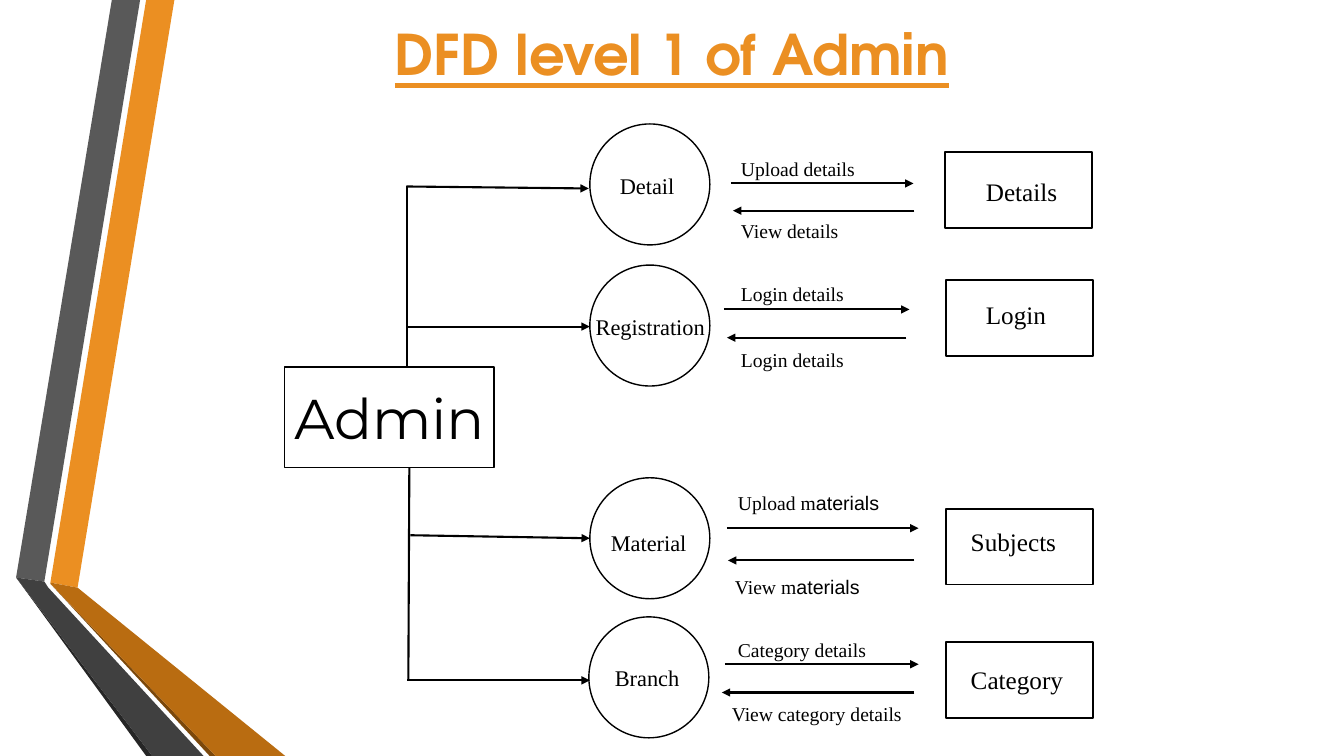
from lxml.etree import SubElement
from pptx import Presentation
from pptx.dml.color import RGBColor
from pptx.enum.shapes import MSO_CONNECTOR as Link, MSO_SHAPE as Preset
from pptx.enum.text import MSO_ANCHOR as Anchor, MSO_AUTO_SIZE as Fit, PP_ALIGN as Align
from pptx.oxml.ns import qn
from pptx.util import Inches, Pt

BLACK = RGBColor(0x00, 0x00, 0x00)
ORANGE = RGBColor(0xEB, 0x8F, 0x22)
RUST = RGBColor(0xB9, 0x6C, 0x11)
BROWN = RGBColor(0x7B, 0x48, 0x0B)
GREY = RGBColor(0x59, 0x59, 0x59)
CHARCOAL = RGBColor(0x40, 0x40, 0x40)
SOOT = RGBColor(0x26, 0x26, 0x26)
SERIF = "Times New Roman"

CELL = Inches(0.01)
COLUMNS, ROWS = 1333, 750
CIRCLE_COLUMN, STORE_COLUMN = 585, 938
CIRCLE_SIZE = (119, 120)
STORE_SIZE = (146, 75)

deck = Presentation()
deck.slide_width, deck.slide_height = COLUMNS * CELL, ROWS * CELL
page = deck.slides.add_slide(deck.slide_layouts[5])
shapes = page.shapes


def write(box, place, spans, align=Align.LEFT, after=10, **extra):
    box.left, box.top, box.width, box.height = [cells * CELL for cells in place]
    frame = box.text_frame
    frame.word_wrap = True
    frame.auto_size = Fit.NONE
    frame.vertical_anchor = Anchor.TOP
    para = frame.paragraphs[0]
    para.alignment = align
    para.space_after = Pt(after)
    for text, face, size, color in spans:
        span = para.add_run()
        span.text = text
        span.font.color.rgb = color
        for name, value in {"name": face, "size": Pt(size), **extra}.items():
            setattr(span.font, name, value)


def draw_line(start, end, arrow=True):
    line = shapes.add_connector(Link.STRAIGHT, *[cells * CELL for cells in start + end])
    line.line.color.rgb = BLACK
    line.line.width = Pt(1.5)
    if arrow:
        SubElement(line.line._get_or_add_ln(), qn("a:tailEnd"), type="triangle")
    SubElement(line._element.spPr, qn("a:effectLst"))


ribbons = [
    (ORANGE, [(50, 578), (77, 583), (173, 0), (145, 0)]),
    (GREY, [(139, 0), (111, 0), (16, 573), (44, 577)]),
    (SOOT, [(16, 573), (145, 750), (151, 750)]),
    (BROWN, [(50, 579), (208, 750), (214, 750)]),
    (RUST, [(50, 578), (50, 579), (214, 750), (283, 750), (77, 583)]),
    (CHARCOAL, [(202, 750), (48, 583), (44, 577), (16, 573), (151, 750)]),
]
for color, corners in ribbons:
    builder = shapes.build_freeform(*corners[0], scale=CELL)
    builder.add_line_segments(corners[1:], close=True)
    ribbon = builder.convert_to_shape()
    ribbon.shadow.inherit = False
    ribbon.fill.solid()
    ribbon.fill.fore_color.rgb = color
    ribbon.line.fill.background()

write(shapes.title, (0, 14, COLUMNS, 77), [("DFD level 1 of Admin", "TeX Gyre Adventor", 40, ORANGE)],
      Align.CENTER, 0, bold=True, underline=True)

outlines = [(Preset.RECTANGLE, 282, 364, (208, 100), 1)]
for left, top in [(585, 123), (585, 263), (585, 474), (584, 612)]:
    outlines.append((Preset.FLOWCHART_CONNECTOR, left, top, CIRCLE_SIZE, 1))
for left, top in [(937, 151), (938, 278), (938, 505), (938, 637)]:
    outlines.append((Preset.RECTANGLE, left, top, STORE_SIZE, 1.25))
for preset, left, top, size, weight in outlines:
    outline = shapes.add_shape(preset, *[cells * CELL for cells in (left, top) + size])
    outline.shadow.inherit = False
    outline.fill.background()
    outline.line.color.rgb = BLACK
    outline.line.width = Pt(weight)

draw_line((404, 364), (404, 185), arrow=False)
draw_line((405, 674), (406, 464), arrow=False)
for start, end in [((403, 185), (584, 187)), ((403, 324), (585, 324)),
                   ((407, 531), (585, 534)), ((404, 675), (585, 675))]:
    draw_line(start, end)

flows = [
    (182, (725, 906), 209, (907, 727)),
    (307, (718, 902), 335, (899, 721)),
    (524, (721, 911), 556, (907, 722)),
    (659, (719, 911), 687, (907, 716)),
]
for there, (there_from, there_to), back, (back_from, back_to) in flows:
    draw_line((there_from, there), (there_to, there))
    draw_line((back_from, back), (back_to, back))

labels = [
    ("Admin", "Montserrat", 40, (282, 376, 252, 77)),
    ("Detail", SERIF, 16, (605, 166, 80, 37)),
    ("Registration", SERIF, 16, (581, 306, 146, 37)),
    ("Material", SERIF, 16, (596, 520, 119, 37)),
    ("Branch", SERIF, 16, (600, 654, 116, 37)),
    ("Details", SERIF, 18, (968, 170, 110, 40)),
    ("Login", SERIF, 18, (968, 292, 110, 40)),
    ("Subjects", SERIF, 18, (953, 517, 116, 40)),
    ("Category", SERIF, 18, (953, 654, 116, 40)),
    ("Upload details", SERIF, 14, (725, 151, 186, 34)),
    ("View details", SERIF, 14, (725, 212, 161, 34)),
    ("Login details", SERIF, 14, (725, 275, 130, 34)),
    ("Login details", SERIF, 14, (725, 340, 130, 34)),
    ("Category details", SERIF, 14, (722, 628, 161, 34)),
    ("View category details", SERIF, 14, (716, 691, 196, 34)),
]
for text, face, size, place in labels:
    write(shapes.add_textbox(0, 0, 0, 0), place, [(text, face, size, BLACK)])

for text, place in [("Upload m", (722, 482, 184, 34)), ("View m", (719, 565, 184, 34))]:
    write(shapes.add_textbox(0, 0, 0, 0), place,
          [(text, SERIF, 14, BLACK), ("aterials", "Arial", 14, BLACK)])

deck.save("out.pptx")
